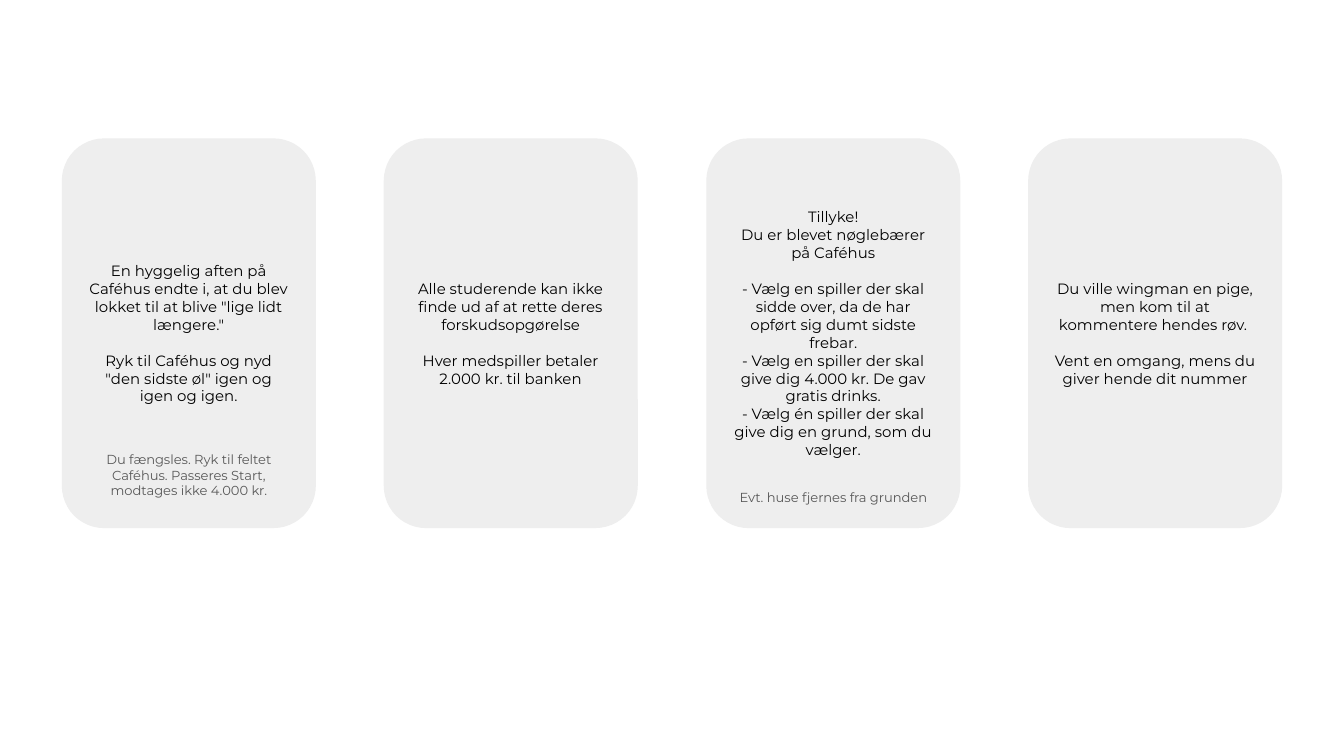
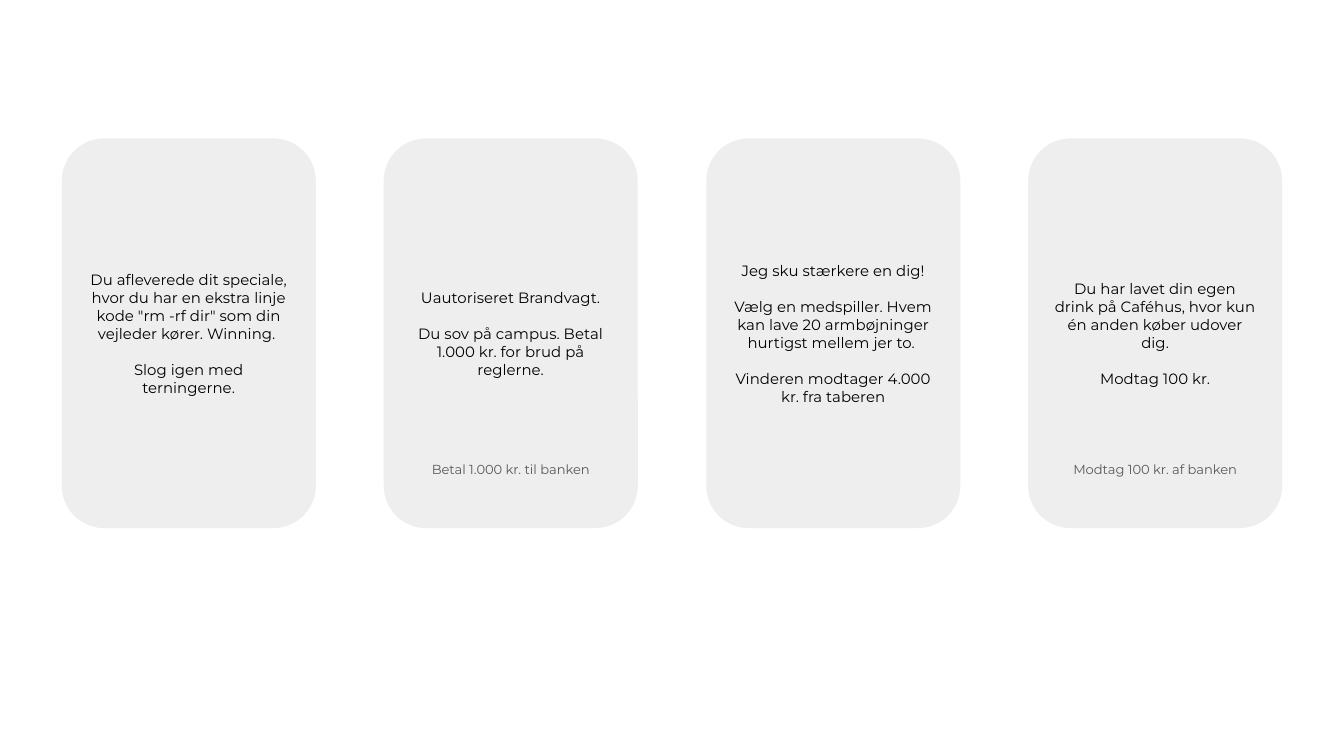
from dataclasses import dataclass

from pptx import Presentation
from pptx.dml.color import RGBColor
from pptx.enum.shapes import MSO_SHAPE
from pptx.enum.text import MSO_ANCHOR, MSO_AUTO_SIZE, PP_ALIGN
from pptx.util import Emu, Pt

# Scale: 200 px to the inch
EMU_PER_PX = 4572
SLIDE_WIDTH, SLIDE_HEIGHT = 2000, 1125

# Row of cards
CARD_COUNT = 4
CARD_TOP, CARD_WIDTH, CARD_HEIGHT = 206, 378, 580
FIRST_LEFT, LAST_LEFT = 92, 1530
NOTE_INSET = 4
TEXT_MARGIN = 20

# Style
FONT = "Montserrat"
CARD_FILL, CARD_TEXT, NOTE_TEXT = "EEEEEE", "000000", "595959"
CARD_SIZE, NOTE_SIZE = 8, 7
SECTION_GAP = 9.75  # one line of card text, in points


@dataclass(frozen=True)
class Note:
    text: str
    top: int
    height: int = 64


@dataclass(frozen=True)
class Card:
    sections: tuple[tuple[str, ...], ...]
    note: Note | None = None


# Cards of each slide, from left to right
SLIDES = (
    (
        Card(
            (
                ('En hyggelig aften på Caféhus endte i, at du blev lokket til at blive "lige lidt længere."',),
                ('Ryk til Caféhus og nyd "den sidste øl" igen og igen og igen.',),
            ),
            Note("Du fængsles. Ryk til feltet Caféhus. Passeres Start, modtages ikke 4.000 kr.", 652, 112),
        ),
        Card(
            (
                ("Alle studerende kan ikke finde ud af at rette deres forskudsopgørelse",),
                ("Hver medspiller betaler 2.000 kr. til banken",),
            )
        ),
        Card(
            (
                ("Tillyke!", "Du er blevet nøglebærer på Caféhus"),
                (
                    "- Vælg en spiller der skal sidde over, da de har opført sig dumt sidste frebar.",
                    "- Vælg en spiller der skal give dig 4.000 kr. De gav gratis drinks.",
                    "- Vælg én spiller der skal give dig en grund, som du vælger.",
                ),
            ),
            Note("Evt. huse fjernes fra grunden", 716),
        ),
        Card(
            (
                ("Du ville wingman en pige, men kom til at kommentere hendes røv. ",),
                ("Vent en omgang, mens du giver hende dit nummer",),
            )
        ),
    ),
    (
        Card(
            (
                (
                    'Du afleverede dit speciale, hvor du har en ekstra linje kode "rm -rf dir" '
                    "som din vejleder kører. Winning. ",
                ),
                ("Slog igen med terningerne.",),
            )
        ),
        Card(
            (
                ("Uautoriseret Brandvagt.",),
                ("Du sov på campus. Betal 1.000 kr. for brud på reglerne.",),
            ),
            Note("Betal 1.000 kr. til banken", 675),
        ),
        Card(
            (
                ("Jeg sku stærkere en dig!",),
                ("Vælg en medspiller. Hvem kan lave 20 armbøjninger hurtigst mellem jer to. ",),
                ("Vinderen modtager 4.000 kr. fra taberen",),
            )
        ),
        Card(
            (
                ("Du har lavet din egen drink på Caféhus, hvor kun én anden køber udover dig.",),
                ("Modtag 100 kr.",),
            ),
            Note("Modtag 100 kr. af banken", 675),
        ),
    ),
)


def px(length: int) -> Emu:
    return Emu(length * EMU_PER_PX)


def color(value: str) -> RGBColor:
    return RGBColor.from_string(value)


def card_left(index: int) -> int:
    return round(FIRST_LEFT + index * (LAST_LEFT - FIRST_LEFT) / (CARD_COUNT - 1))


def write_text(text_frame, sections: tuple[tuple[str, ...], ...], size: int, text_color: str) -> None:
    """Write centred paragraphs, with a line of space between sections."""
    text_frame.word_wrap = True
    text_frame.margin_left = text_frame.margin_right = px(TEXT_MARGIN)
    text_frame.margin_top = text_frame.margin_bottom = px(TEXT_MARGIN)
    paragraph = None
    for section in sections:
        for line_index, line in enumerate(section):
            starts_section = paragraph is not None and line_index == 0
            paragraph = text_frame.paragraphs[0] if paragraph is None else text_frame.add_paragraph()
            paragraph.text = line
            paragraph.alignment = PP_ALIGN.CENTER
            paragraph.space_before = Pt(SECTION_GAP if starts_section else 0)
            paragraph.font.name = FONT
            paragraph.font.size = Pt(size)
            paragraph.font.color.rgb = color(text_color)


def draw_card(slide, card: Card, left: int) -> None:
    shape = slide.shapes.add_shape(
        MSO_SHAPE.ROUNDED_RECTANGLE, px(left), px(CARD_TOP), px(CARD_WIDTH), px(CARD_HEIGHT)
    )
    shape.shadow.inherit = False
    shape.fill.solid()
    shape.fill.fore_color.rgb = color(CARD_FILL)
    shape.line.fill.background()
    shape.text_frame.vertical_anchor = MSO_ANCHOR.MIDDLE
    write_text(shape.text_frame, card.sections, CARD_SIZE, CARD_TEXT)


def draw_note(slide, note: Note, left: int) -> None:
    text_box = slide.shapes.add_textbox(
        px(left + NOTE_INSET), px(note.top), px(CARD_WIDTH - 2 * NOTE_INSET), px(note.height)
    )
    write_text(text_box.text_frame, ((note.text,),), NOTE_SIZE, NOTE_TEXT)
    text_box.text_frame.auto_size = MSO_AUTO_SIZE.SHAPE_TO_FIT_TEXT


def main() -> None:
    presentation = Presentation()
    presentation.slide_width = px(SLIDE_WIDTH)
    presentation.slide_height = px(SLIDE_HEIGHT)
    blank_layout = presentation.slide_layouts[6]
    for cards in SLIDES:
        slide = presentation.slides.add_slide(blank_layout)
        for index, card in enumerate(cards):
            draw_card(slide, card, card_left(index))
            if card.note:
                draw_note(slide, card.note, card_left(index))
    presentation.save("out.pptx")


if __name__ == "__main__":
    main()
